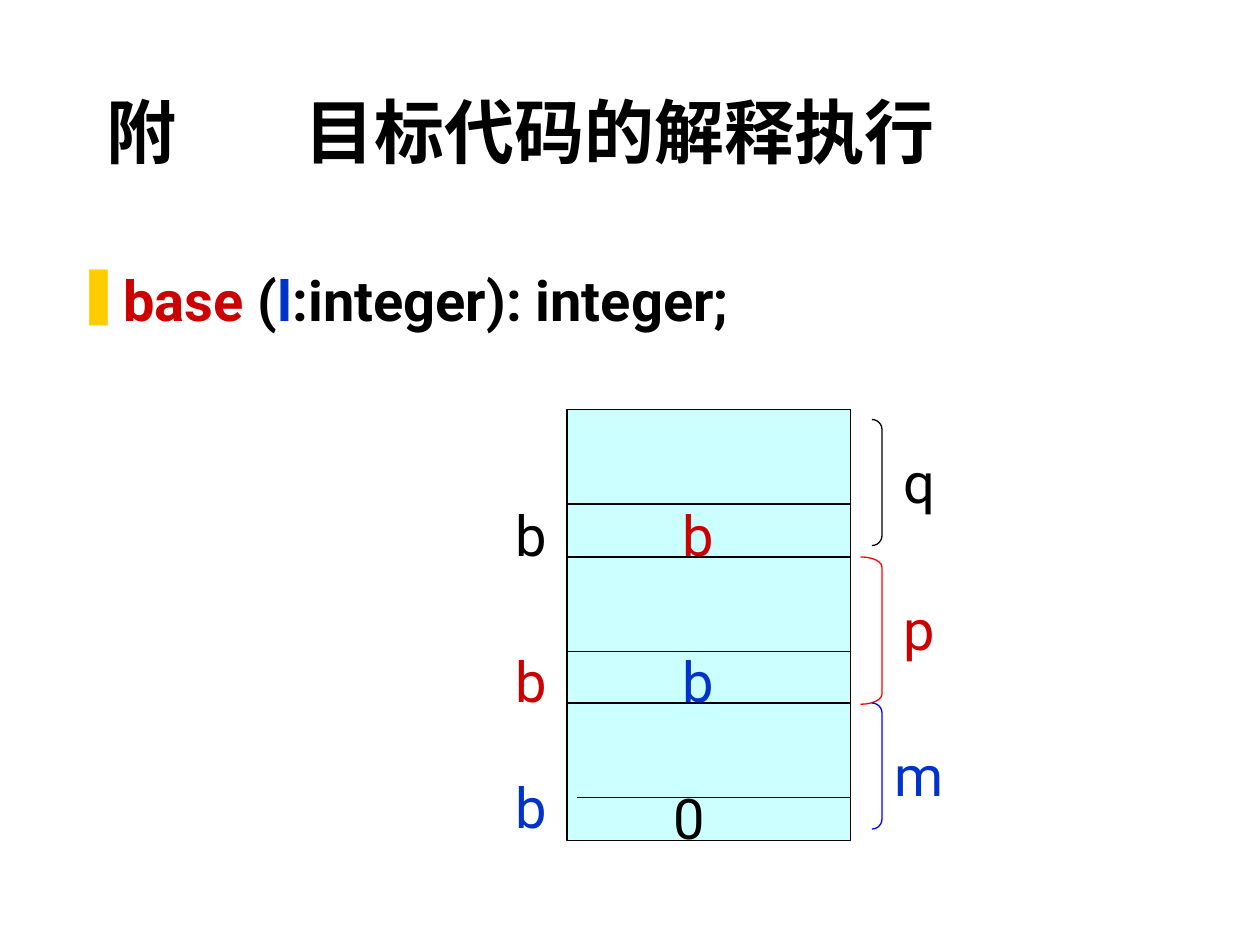
from lxml import etree
from pptx import Presentation
from pptx import util as u
from pptx.dml.color import RGBColor
from pptx.enum import shapes, text
from pptx.oxml import ns

BLACK, RED, BLUE = "000000", "CC0000", "0033CC"


def colour(value):
    return RGBColor.from_string(value)


def add_xml(parent, tag, **attributes):
    return etree.SubElement(parent, ns.qn(tag), attributes)


class Painter:
    """Holds the style and the current slide."""

    latin, chinese = "Roboto", "Noto Sans CJK SC"
    line_width = u.Pt(0.75)

    def __init__(self, page):
        self.page = page

    def text(self, left, top, width, height, spans, prepare=None, anchor="TOP", **style):
        box = self.page.shapes.add_textbox(*map(u.Inches, (left, top, width, height)))
        frame = box.text_frame
        frame.word_wrap = True
        frame.vertical_anchor = getattr(text.MSO_ANCHOR, anchor)
        para = frame.paragraphs[0]
        if prepare:
            prepare(para._p.get_or_add_pPr())
        values = {"name": self.latin, "size": u.Pt(32), "bold": False, **style}
        for words, hue in spans:
            span = para.add_run()
            span.text = words
            span.font.color.rgb = colour(hue)
            for name, value in values.items():
                setattr(span.font, name, value)
            add_xml(span._r.get_or_add_rPr(), "a:ea", typeface=self.chinese)

    def outline(self, shape, hue):
        shape.line.color.rgb = colour(hue)
        shape.line.width = self.line_width

    def shape(self, kind, left, top, width, height, line, fill=None):
        shape = self.page.shapes.add_shape(kind, *map(u.Inches, (left, top, width, height)))
        shape.shadow.inherit = False
        if fill:
            shape.fill.solid()
            shape.fill.fore_color.rgb = colour(fill)
        else:
            shape.fill.background()
        self.outline(shape, line)
        return shape

    def bracket(self, left, top, height, hue):
        width = 7 - left
        bracket = self.shape(shapes.MSO_SHAPE.RIGHT_BRACKET, left, top, width, height, hue)
        bracket.adjustments[0] = 0.08 / width

    def rule(self, left, right, y):
        line = self.page.shapes.add_connector(
            shapes.MSO_CONNECTOR.STRAIGHT, *map(u.Inches, (left, y, right, y)))
        self.outline(line, BLACK)
        add_xml(line._element.spPr, "a:effectLst")


def title_tab(properties):
    tabs = add_xml(properties, "a:tabLst")
    add_xml(tabs, "a:tab", pos=str(u.Inches(1.57)), algn="l")


def bar_bullet(properties):
    properties.set("marL", str(u.Inches(0.38)))
    properties.set("indent", str(u.Inches(-0.38)))
    add_xml(add_xml(properties, "a:buClr"), "a:srgbClr", val="FFCC00")
    add_xml(properties, "a:buChar", char="❚")


def main():
    deck = Presentation()
    deck.slide_width, deck.slide_height = u.Inches(10), u.Inches(7.5)
    painter = Painter(deck.slides.add_slide(deck.slide_layouts[6]))

    # Title and function signature
    painter.text(0.75, 0.67, 8.5, 0.75, [("附\t目标代码的解释执行", BLACK)], title_tab,
                 "BOTTOM", name=painter.chinese, size=u.Pt(40), bold=True)
    signature = [("base ", RED), ("(", BLACK), ("l", BLUE), (":integer): integer;", BLACK)]
    painter.text(0.5, 2.06, 8.94, 4.56, signature, bar_bullet, bold=True)

    # Stack with its frame dividers
    painter.shape(shapes.MSO_SHAPE.RECTANGLE, 4.5, 3.25, 2.25, 3.42, BLACK, "CCFFFF")
    for left, y in ((4.5, 4), (4.5, 4.42), (4.5, 5.17), (4.5, 5.58), (4.58, 6.33)):
        painter.rule(left, 6.75, y)

    # Brackets around the frames
    for left, top, height, hue in ((6.92, 3.33, 1, BLACK), (6.83, 4.42, 1.17, "FF0000"),
                                   (6.92, 5.58, 1, "0000FF")):
        painter.bracket(left, top, height, hue)

    # Base pointers, stored links and frame names
    labels = (
        (3.99, 3.92, "b", BLACK), (3.99, 5.08, "b", RED), (3.99, 6.08, "b", BLUE),
        (5.32, 3.92, "b", RED), (5.32, 5.08, "b", BLUE), (5.25, 6.17, "0", BLACK),
        (7.07, 3.5, "q", BLACK), (7.07, 4.67, "p", RED), (7, 5.83, "m", BLUE),
    )
    for left, top, letter, hue in labels:
        width = 0.81 if letter == "m" else 0.47
        painter.text(left, top, width, 0.64, [(letter, hue)])

    deck.save("out.pptx")


if __name__ == "__main__":
    main()
